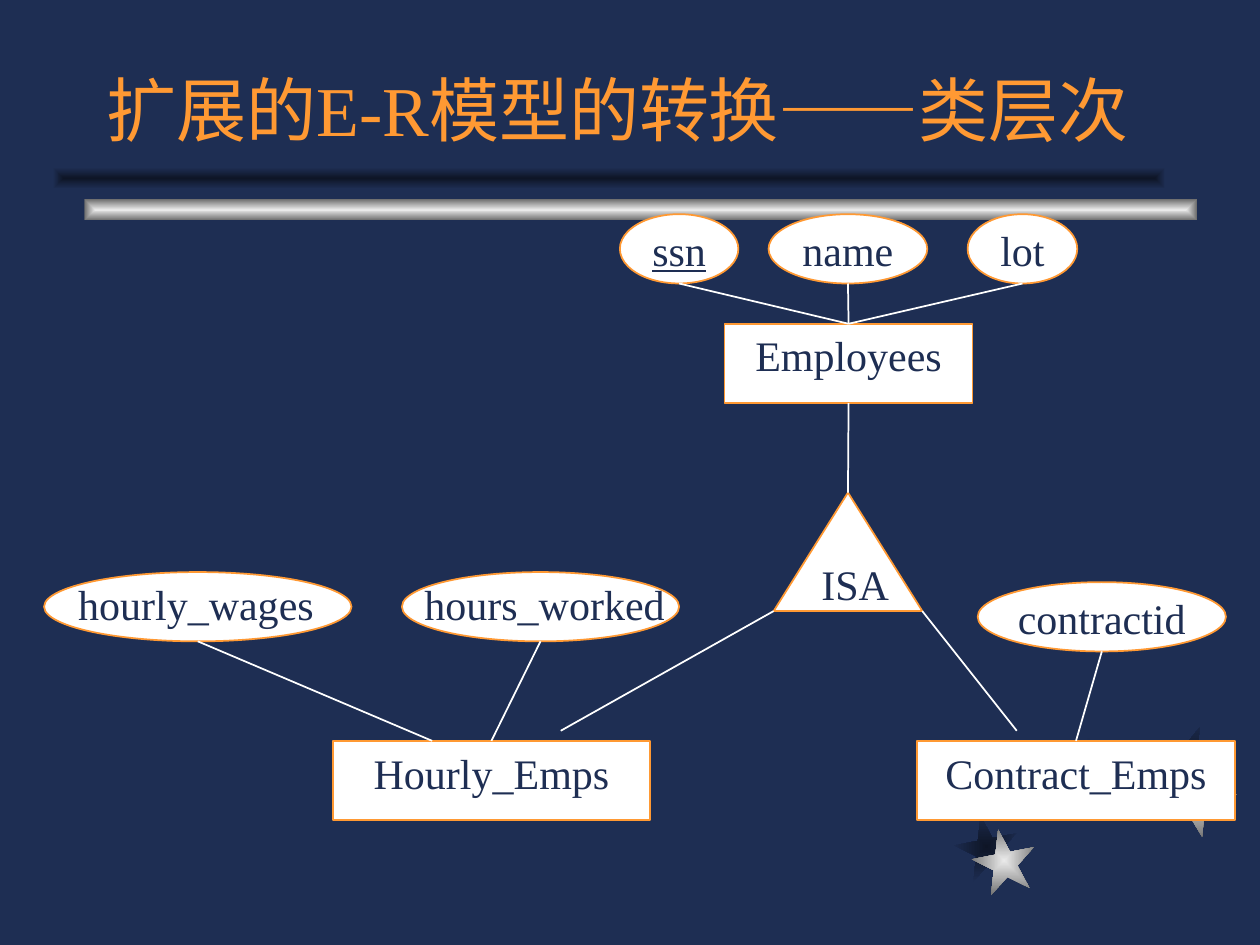
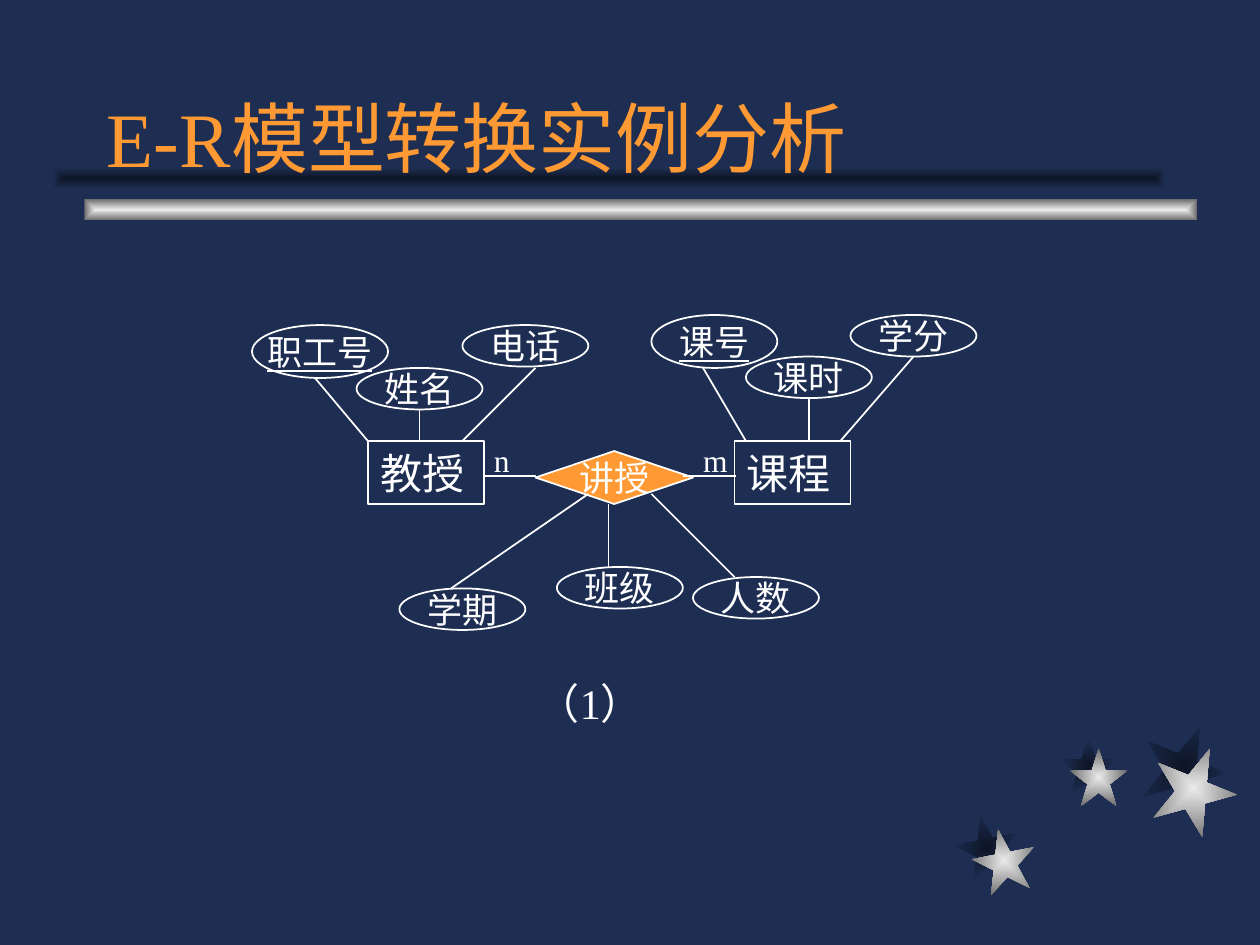
from dataclasses import dataclass

import lxml.etree
import pptx
import pptx.dml.color
import pptx.enum.shapes
import pptx.enum.text
import pptx.oxml.ns
import pptx.util

Inches = pptx.util.Inches
Preset = pptx.enum.shapes.MSO_SHAPE
Anchor = pptx.enum.text.MSO_ANCHOR
Align = pptx.enum.text.PP_ALIGN
qn = pptx.oxml.ns.qn

NAVY = "1E2E53"
DARK_NAVY = "0E1526"
ORANGE = "FF9933"
WHITE = "FFFFFF"
SILVER = "EAEAEA"
GRAY = "6C6C6C"
SHADOW_GRADIENT = (DARK_NAVY, NAVY)
METAL_GRADIENT = (SILVER, GRAY)
FONT = "Times New Roman"

Point = tuple[float, float]
Insets = tuple[float, float]
DEFAULT_INSETS = (0.1, 0.05)
NO_INSETS = (0, 0)


@dataclass(frozen=True)
class TextStyle:
    size: float
    color: str
    align: Align = Align.LEFT
    anchor: Anchor = Anchor.TOP
    insets: Insets = DEFAULT_INSETS
    wrap: bool = True


@dataclass(frozen=True)
class NodeStyle:
    preset: Preset
    fill: str | None
    line: str
    text: TextStyle


@dataclass(frozen=True)
class Node:
    style: NodeStyle
    left: float
    top: float
    width: float
    height: float
    text: str = ""
    underline: bool = False

    @property
    def top_center(self) -> Point:
        return self.left + self.width / 2, self.top

    @property
    def bottom_center(self) -> Point:
        return self.left + self.width / 2, self.top + self.height


@dataclass(frozen=True)
class Label:
    left: float
    top: float
    width: float
    height: float
    text: str
    style: TextStyle


@dataclass(frozen=True)
class Star:
    """A star and the place of its shadow, both of the same size."""
    left: float
    top: float
    shadow_left: float
    shadow_top: float
    size: float
    rotation: float = 0
    covered: bool = False


@dataclass(frozen=True)
class Diagram:
    title: Label
    stars: list[Star]
    nodes: list[Node]
    lines: list[tuple[Point, Point]]
    labels: list[Label]


def rgb(color: str) -> pptx.dml.color.RGBColor:
    return pptx.dml.color.RGBColor.from_string(color)


def write_text(shape, text: str, style: TextStyle, underline: bool = False) -> None:
    frame = shape.text_frame
    frame.word_wrap = style.wrap
    frame.vertical_anchor = style.anchor
    frame.margin_left = frame.margin_right = Inches(style.insets[0])
    frame.margin_top = frame.margin_bottom = Inches(style.insets[1])
    paragraph = frame.paragraphs[0]
    paragraph.text = text
    paragraph.alignment = style.align
    paragraph.font.name = FONT
    paragraph.font.size = pptx.util.Pt(style.size)
    paragraph.font.color.rgb = rgb(style.color)
    if underline:
        paragraph.runs[0].font.underline = True


def add_preset(slide, preset: Preset, left: float, top: float, width: float, height: float):
    shape = slide.shapes.add_shape(preset, Inches(left), Inches(top), Inches(width), Inches(height))
    shape.shadow.inherit = False
    return shape


def add_glow(slide, preset: Preset, left: float, top: float, width: float, height: float,
             colors: tuple[str, str], rotation: float = 0) -> None:
    """Add an outline-free shape whose gradient runs from its centre to its edges."""
    shape = add_preset(slide, preset, left, top, width, height)
    shape.rotation = rotation
    shape.line.fill.background()
    shape.fill.gradient()
    for stop, color in zip(shape.fill.gradient_stops, colors):
        stop.color.rgb = rgb(color)
    gradient = shape._element.spPr.find(qn("a:gradFill"))
    linear = gradient.find(qn("a:lin"))
    center_out = lxml.etree.Element(qn("a:path"), {"path": "rect"})
    sides = {side: "50000" for side in "ltrb"}
    lxml.etree.SubElement(center_out, qn("a:fillToRect"), sides)
    gradient.replace(linear, center_out)


def add_node(slide, node: Node) -> None:
    shape = add_preset(slide, node.style.preset, node.left, node.top, node.width, node.height)
    if node.style.fill:
        shape.fill.solid()
        shape.fill.fore_color.rgb = rgb(node.style.fill)
    else:
        shape.fill.background()
    shape.line.color.rgb = rgb(node.style.line)
    shape.line.width = pptx.util.Pt(1)
    if node.text:
        write_text(shape, node.text, node.style.text, node.underline)


def add_line(slide, start: Point, end: Point) -> None:
    line = slide.shapes.add_connector(
        pptx.enum.shapes.MSO_CONNECTOR.STRAIGHT, *(Inches(value) for value in start + end))
    line.line.color.rgb = rgb(WHITE)
    line.line.width = pptx.util.Pt(1)
    lxml.etree.SubElement(line._element.spPr, qn("a:effectLst"))


def add_label(slide, label: Label) -> None:
    box = slide.shapes.add_textbox(
        Inches(label.left), Inches(label.top), Inches(label.width), Inches(label.height))
    write_text(box, label.text, label.style)


def add_backdrop(slide, stars: list[Star]) -> None:
    slide.background.fill.solid()
    slide.background.fill.fore_color.rgb = rgb(NAVY)
    for star in stars:
        add_glow(slide, Preset.STAR_5_POINT, star.shadow_left, star.shadow_top,
                 star.size, star.size, SHADOW_GRADIENT, star.rotation)
    for star in stars:
        if not star.covered:
            add_glow(slide, Preset.STAR_5_POINT, star.left, star.top,
                     star.size, star.size, METAL_GRADIENT, star.rotation)
    add_glow(slide, Preset.RECTANGLE, 0.67, 1.58, 8.83, 0.17, METAL_GRADIENT)
    add_glow(slide, Preset.RECTANGLE, 0.42, 1.33, 8.83, 0.17, SHADOW_GRADIENT)


def add_diagram_slide(presentation, diagram: Diagram) -> None:
    slide = presentation.slides.add_slide(presentation.slide_layouts[6])
    add_backdrop(slide, diagram.stars)
    add_label(slide, diagram.title)
    for node in diagram.nodes:
        add_node(slide, node)
    for start, end in diagram.lines:
        add_line(slide, start, end)
    for label in diagram.labels:
        add_label(slide, label)


def title_style(size: float) -> TextStyle:
    return TextStyle(size, ORANGE, anchor=Anchor.BOTTOM)


def stars(middle_covered: bool) -> list[Star]:
    return [
        Star(7.72, 6.58, 7.58, 6.47, 0.5, rotation=349),
        Star(8.49, 5.94, 8.41, 5.85, 0.46, covered=middle_covered),
        Star(9.14, 5.92, 9.06, 5.75, 0.67, rotation=22),
    ]


def class_hierarchy() -> Diagram:
    plain = TextStyle(24, NAVY)
    centered = TextStyle(24, NAVY, Align.CENTER)
    tight = TextStyle(24, NAVY, Align.CENTER, insets=NO_INSETS)
    entity = NodeStyle(Preset.RECTANGLE, WHITE, ORANGE, centered)
    attribute = NodeStyle(Preset.OVAL, WHITE, ORANGE, tight)
    triangle = NodeStyle(Preset.ISOSCELES_TRIANGLE, WHITE, ORANGE, centered)

    employees = Node(entity, 5.75, 2.57, 1.97, 0.63, "Employees")
    hourly_emps = Node(entity, 2.64, 5.88, 2.52, 0.63, "Hourly_Emps")
    contract_emps = Node(entity, 7.28, 5.88, 2.52, 0.63, "Contract_Emps")
    employee_attributes = [
        Node(attribute, 4.92, 1.7, 0.94, 0.55, "ssn", underline=True),
        Node(attribute, 6.1, 1.7, 1.26, 0.55, "name"),
        Node(attribute, 7.68, 1.7, 0.87, 0.55, "lot"),
    ]
    contract_id = Node(attribute, 7.76, 4.62, 1.97, 0.55, "contractid")
    hours_worked = Node(attribute, 3.19, 4.54, 2.2, 0.55)
    hourly_wages = Node(attribute, 0.35, 4.54, 2.44, 0.55)
    isa = Node(triangle, 6.14, 3.91, 1.18, 0.94)
    isa_base = isa.top + isa.height

    return Diagram(
        title=Label(0.75, 0.32, 8.9, 0.92, "扩展的E-R模型的转换——类层次", title_style(40)),
        stars=stars(middle_covered=True),
        nodes=[employees, *employee_attributes, isa, hourly_emps, contract_emps,
               contract_id, hours_worked, hourly_wages],
        lines=[
            *((node.bottom_center, employees.top_center) for node in employee_attributes),
            (employees.bottom_center, isa.top_center),
            ((isa.left, isa_base), (4.45, 5.8)),
            ((isa.left + isa.width, isa_base), (8.07, 5.8)),
            (contract_id.bottom_center, contract_emps.top_center),
            (hours_worked.bottom_center, hourly_emps.top_center),
            (hourly_wages.bottom_center, (3.43, hourly_emps.top)),
        ],
        labels=[
            Label(6.42, 4.38, 0.85, 0.5, "ISA", plain),
            Label(0.5, 4.54, 2.11, 0.5, "hourly_wages", centered),
            Label(3.27, 4.54, 2.2, 0.5, "hours_worked", plain),
        ],
    )


def teaching_example() -> Diagram:
    centered = TextStyle(20, WHITE, Align.CENTER, Anchor.MIDDLE, wrap=False)
    plain = TextStyle(24, WHITE)
    cardinality = TextStyle(18, WHITE, insets=NO_INSETS)
    entity = NodeStyle(Preset.RECTANGLE, None, WHITE, plain)
    attribute = NodeStyle(Preset.OVAL, None, WHITE, centered)
    relationship = NodeStyle(Preset.FLOWCHART_DECISION, ORANGE, WHITE, centered)

    return Diagram(
        title=Label(0.75, 0.25, 8.5, 1.25, "E-R模型转换实例分析", title_style(44)),
        stars=stars(middle_covered=False),
        nodes=[
            Node(entity, 2.92, 3.5, 0.92, 0.5, "教授"),
            Node(entity, 5.83, 3.5, 0.92, 0.5, "课程"),
            Node(relationship, 4.25, 3.58, 1.25, 0.42, "讲授"),
            Node(attribute, 2, 2.58, 1.08, 0.42, "职工号", underline=True),
            Node(attribute, 2.83, 2.92, 1, 0.33, "姓名"),
            Node(attribute, 3.67, 2.58, 1, 0.33, "电话"),
            Node(attribute, 5.17, 2.5, 1, 0.42, "课号", underline=True),
            Node(attribute, 5.92, 2.83, 1, 0.33, "课时"),
            Node(attribute, 6.75, 2.5, 1, 0.33, "学分"),
            Node(attribute, 3.17, 4.67, 1, 0.33, "学期"),
            Node(attribute, 4.42, 4.5, 1, 0.33, "班级"),
            Node(attribute, 5.5, 4.58, 1, 0.33, "人数"),
        ],
        lines=[
            ((3.83, 3.78), (4.25, 3.78)),
            ((5.42, 3.78), (5.84, 3.78)),
            ((2.5, 3), (2.92, 3.5)),
            ((3.33, 3.25), (3.33, 3.5)),
            ((4.25, 2.92), (3.67, 3.5)),
            ((5.58, 2.92), (5.92, 3.5)),
            ((6.42, 3.17), (6.42, 3.5)),
            ((7.25, 2.83), (6.67, 3.5)),
            ((4.67, 3.92), (3.58, 4.67)),
            ((4.83, 4), (4.83, 4.5)),
            ((5.17, 3.92), (5.83, 4.58)),
        ],
        labels=[
            Label(3.92, 3.5, 0.17, 0.3, "n", cardinality),
            Label(5.58, 3.5, 0.2, 0.3, "m", cardinality),
            Label(4.17, 5.33, 1.5, 0.5, "（1）", plain),
        ],
    )


def main() -> None:
    presentation = pptx.Presentation()
    presentation.slide_width = Inches(10)
    presentation.slide_height = Inches(7.5)
    for diagram in (class_hierarchy(), teaching_example()):
        add_diagram_slide(presentation, diagram)
    presentation.save("out.pptx")


if __name__ == "__main__":
    main()
